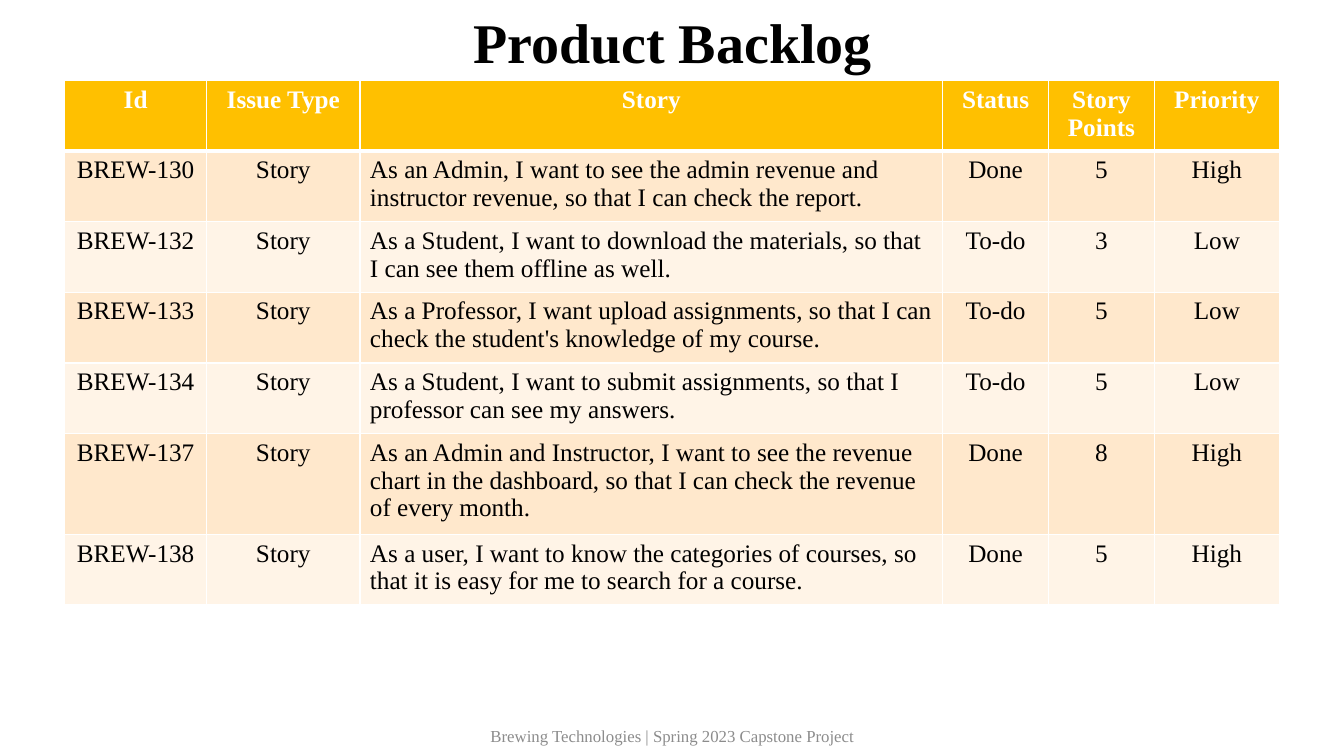
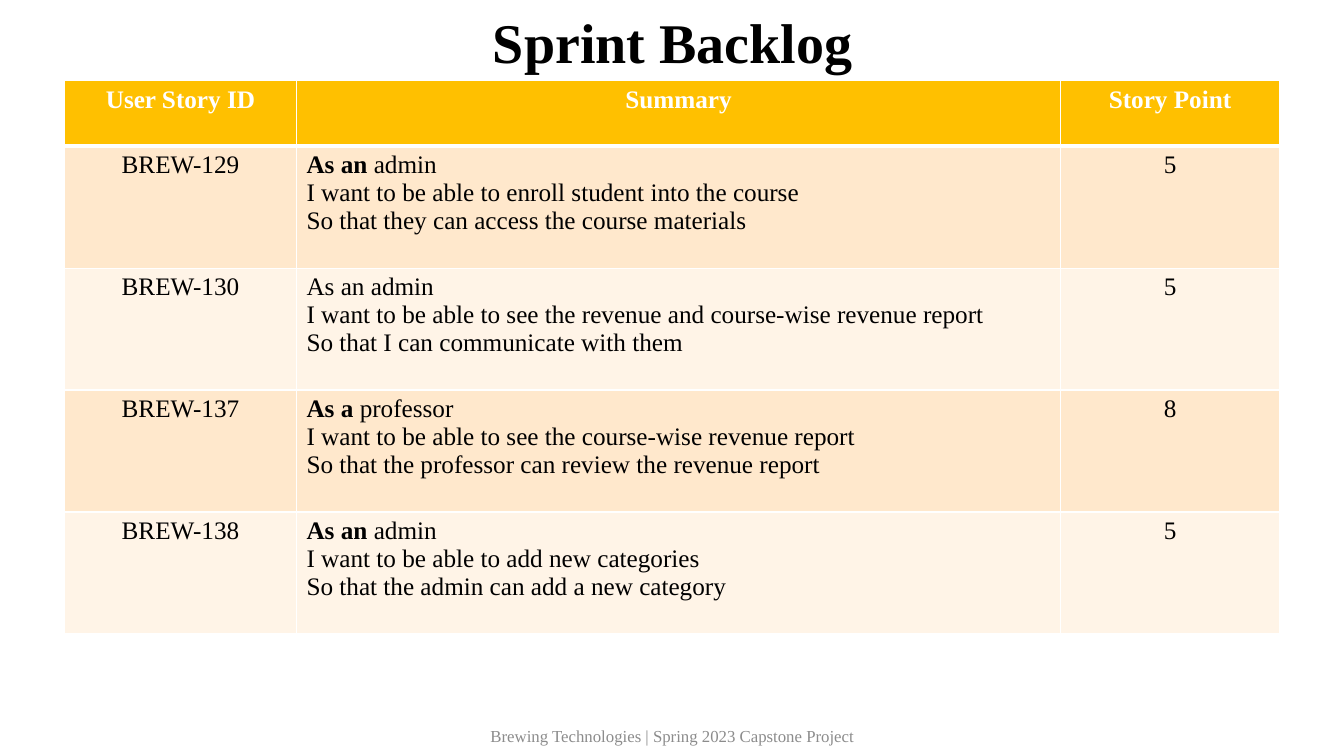
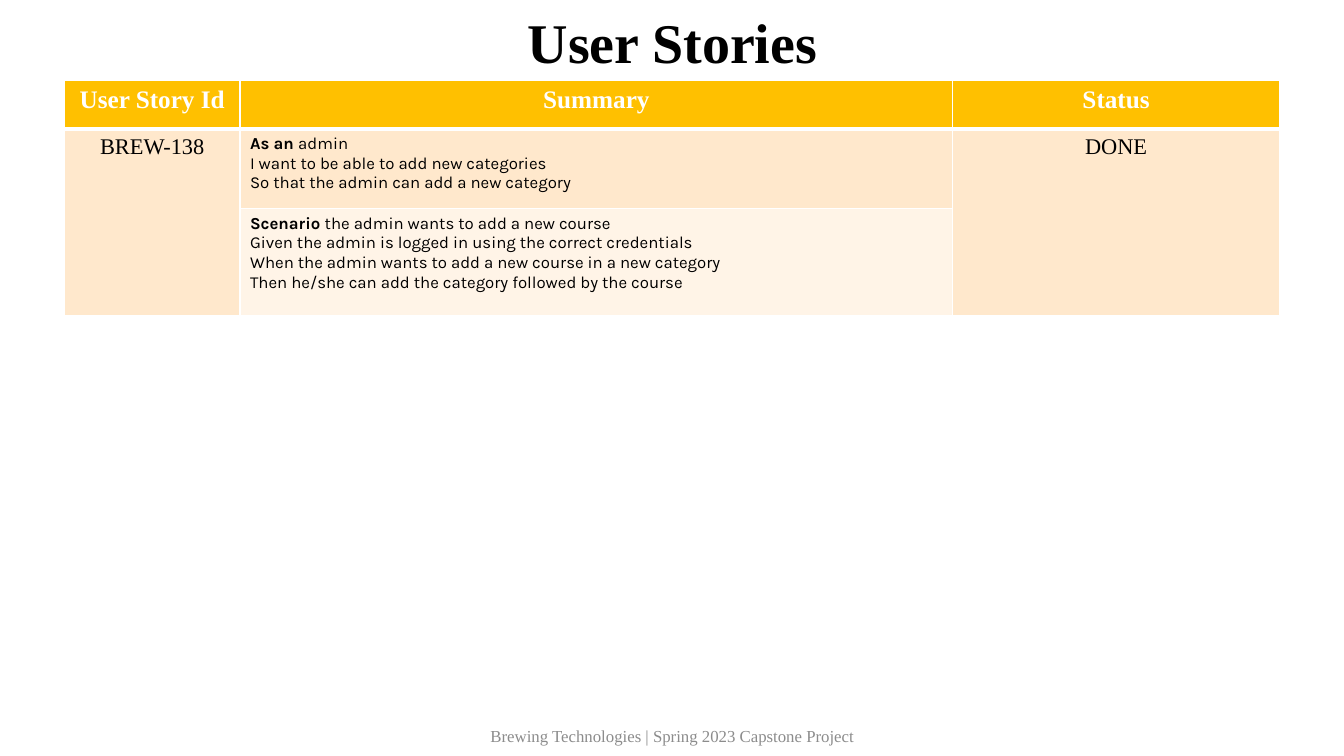
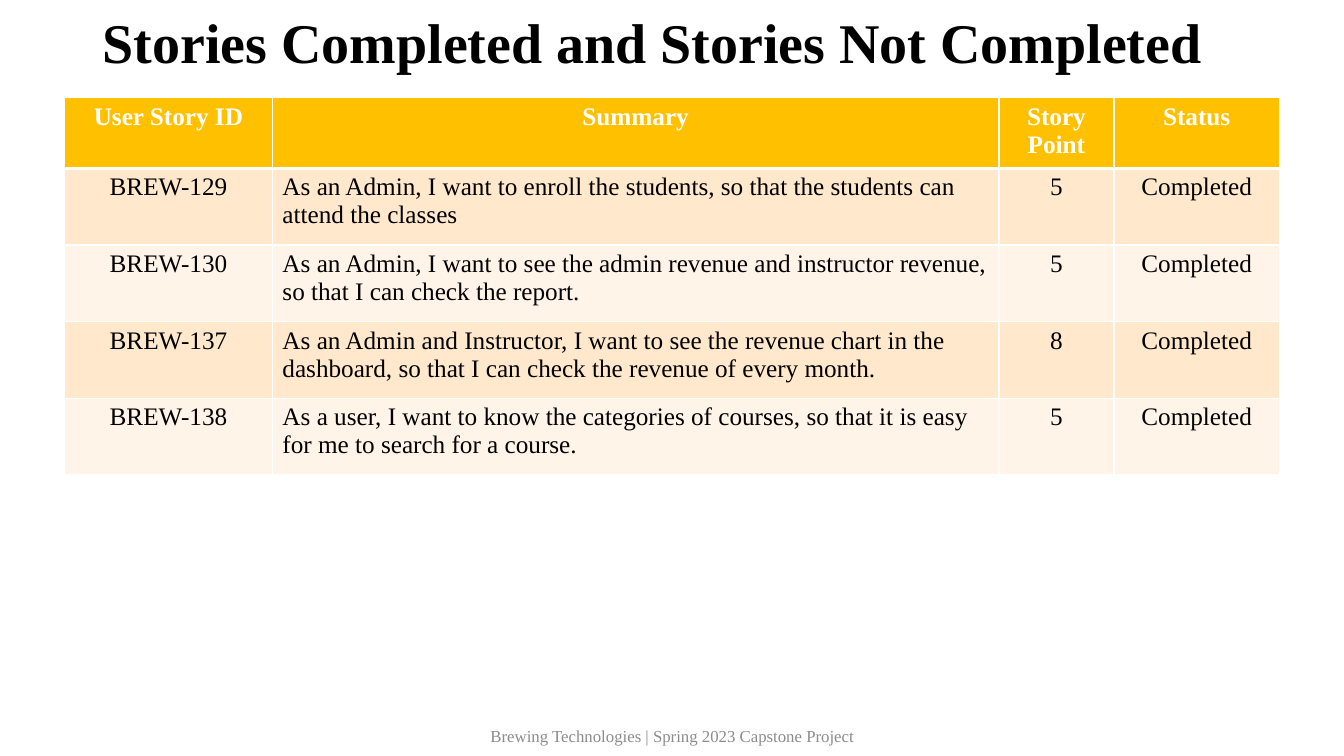
from lxml.etree import SubElement
from pptx import Presentation
from pptx.dml.color import RGBColor
from pptx.enum.text import MSO_ANCHOR, MSO_AUTO_SIZE, PP_ALIGN
from pptx.oxml.ns import qn
from pptx.util import Inches, Pt

TITLE_ONLY = 5


def paint(hex_color):
    return RGBColor.from_string(hex_color)


def write(frame, text, font="Times New Roman", size=18, color="000000", bold=False,
          align=PP_ALIGN.CENTER, anchor=MSO_ANCHOR.MIDDLE, line_spacing=None):
    frame.word_wrap = True
    frame.vertical_anchor = anchor
    for index, line in enumerate(text.split("\n")):
        paragraph = frame.add_paragraph() if index else frame.paragraphs[0]
        paragraph.alignment = align
        paragraph.line_spacing = line_spacing
        for part, words in enumerate(line.split("**")):
            if words:
                run = paragraph.add_run()
                run.text = words
                run.font.name = font
                run.font.size = Pt(size)
                run.font.bold = bold or part % 2 == 1
                run.font.color.rgb = paint(color)


class Deck:
    WIDTH, HEIGHT = 13.33, 7.5
    COLUMNS, ROWS = 133.3, 75
    TITLE_BOX = (9.2, 1, 115, 7)
    FOOTER_BOX = (44.2, 71, 45, 4)
    TABLE_LEFT, TABLE_WIDTH = 6.4, 120.5
    FOOTER = "Brewing Technologies | Spring 2023 Capstone Project"
    HEADER, BANDS = "FFC000", ("FFE8CC", "FFF4E7")
    WHITE, GRAY = "FFFFFF", "8C8C8C"

    def __init__(self):
        self.presentation = Presentation()
        self.presentation.slide_width = Inches(self.WIDTH)
        self.presentation.slide_height = Inches(self.HEIGHT)
        self.slide = None

    def across(self, columns):
        return Inches(self.WIDTH * columns / self.COLUMNS)

    def down(self, rows):
        return Inches(self.HEIGHT * rows / self.ROWS)

    def place(self, left, top, width, height):
        return self.across(left), self.down(top), self.across(width), self.down(height)

    def start(self, title, align=PP_ALIGN.CENTER):
        layout = self.presentation.slide_layouts[TITLE_ONLY]
        self.slide = self.presentation.slides.add_slide(layout)
        heading = self.slide.shapes.title
        heading.left, heading.top, heading.width, heading.height = self.place(*self.TITLE_BOX)
        heading.text_frame.auto_size = MSO_AUTO_SIZE.NONE
        write(heading.text_frame, title, size=40, bold=True, align=align, line_spacing=0.9)
        self.footer()

    def footer(self):
        footer = self.slide.shapes.add_textbox(*self.place(*self.FOOTER_BOX))
        write(footer.text_frame, self.FOOTER, size=12, color=self.GRAY)

    def style_cell(self, cell, fill, bottom=1):
        properties = cell._tc.get_or_add_tcPr()
        for side, points in (("L", 1), ("R", 1), ("T", 1), ("B", bottom)):
            border = SubElement(properties, qn(f"a:ln{side}"), w=str(Pt(points)))
            SubElement(SubElement(border, qn("a:solidFill")), qn("a:srgbClr"), val=self.WHITE)
        cell.fill.solid()
        cell.fill.fore_color.rgb = paint(fill)

    def table(self, header, stories, widths, heights, prose_column, top=8,
              size=18, prose=None):
        prose_style = {"size": size, "align": PP_ALIGN.LEFT, **(prose or {})}
        box = self.place(self.TABLE_LEFT, top, self.TABLE_WIDTH, sum(heights))
        table = self.slide.shapes.add_table(len(stories) + 1, len(header), *box).table
        table.horz_banding = False
        for column, width in zip(table.columns, widths):
            column.width = self.across(self.TABLE_WIDTH * width / sum(widths))
        for row, height in zip(table.rows, heights):
            row.height = self.down(height)
        for column, label in enumerate(header):
            cell = table.cell(0, column)
            self.style_cell(cell, self.HEADER, bottom=3)
            write(cell.text_frame, label, color=self.WHITE, bold=True)
        for row, story in enumerate(stories, 1):
            for column, text in enumerate(story):
                cell = table.cell(row, column)
                self.style_cell(cell, self.BANDS[(row - 1) % 2])
                if text is None:
                    table.cell(row - 1, column).merge(cell)
                elif column == prose_column:
                    write(cell.text_frame, text, **prose_style)
                else:
                    write(cell.text_frame, text, size=size)

    def save(self):
        self.presentation.save("out.pptx")


REVENUE = "As an Admin, I want to see the admin revenue and instructor revenue, so that I can check the report."
CHART = ("As an Admin and Instructor, I want to see the revenue chart in the dashboard, "
         "so that I can check the revenue of every month.")
CATEGORIES = "As a user, I want to know the categories of courses, so that it is easy for me to search for a course."
NEW_CATEGORY = ("**As an **admin\nI want to be able to add new categories\n"
                "So that the admin can add a new category")


def product_backlog(deck):
    deck.start("Product Backlog")
    backlog = [
        ("BREW-130", REVENUE, "Done", "5", "High"),
        ("BREW-132", "As a Student, I want to download the materials, "
                     "so that I can see them offline as well.", "To-do", "3", "Low"),
        ("BREW-133", "As a Professor, I want upload assignments, "
                     "so that I can check the student's knowledge of my course.", "To-do", "5", "Low"),
        ("BREW-134", "As a Student, I want to submit assignments, "
                     "so that I professor can see my answers.", "To-do", "5", "Low"),
        ("BREW-137", CHART, "Done", "8", "High"),
        ("BREW-138", CATEGORIES, "Done", "5", "High"),
    ]
    deck.table(("Id", "Issue Type", "Story", "Status", "Story Points", "Priority"),
               [(issue, "Story", *rest) for issue, *rest in backlog],
               widths=(14.1, 15.2, 57.8, 10.5, 10.5, 12.4),
               heights=(6.7, 7, 7, 7, 7, 10, 7), prose_column=2)


def sprint_backlog(deck):
    deck.start("Sprint Backlog")
    deck.table(("User Story ID", "Summary", "Story Point"), [
        ("BREW-129", "**As an **admin\nI want to be able to enroll student into the course\n"
                     "So that they can access the course materials", "5"),
        ("BREW-130", "As an admin\nI want to be able to see the revenue and course-wise revenue report\n"
                     "So that I can communicate with them", "5"),
        ("BREW-137", "**As a **professor\nI want to be able to see the course-wise revenue report\n"
                     "So that the professor can review the revenue report", "8"),
        ("BREW-138", NEW_CATEGORY, "5"),
    ], widths=(23, 75.8, 21.7), heights=(6.5, *[12.1] * 4), prose_column=1,
        prose={"anchor": MSO_ANCHOR.TOP})


def user_stories(deck):
    deck.start("User Stories")
    deck.table(("User Story Id", "Summary", "Status"), [
        ("BREW-138", NEW_CATEGORY, "DONE"),
        (None, "**Scenario **the admin wants to add a new course\n"
               "Given the admin is logged in using the correct credentials\n"
               "When the admin wants to add a new course in a new category\n"
               "Then he/she can add the category followed by the course", None),
    ], widths=(17.4, 70.7, 32.4), heights=(4.8, 7.9, 10.6), prose_column=1,
        size=16, prose={"font": "Karla", "size": 12})


def completed_stories(deck):
    deck.start("Stories Completed and Stories Not Completed", align=PP_ALIGN.LEFT)
    completed = [
        ("BREW-129", "As an Admin, I want to enroll the students, "
                     "so that the students can attend the classes", "5"),
        ("BREW-130", REVENUE, "5"),
        ("BREW-137", CHART, "8"),
        ("BREW-138", CATEGORIES, "5"),
    ]
    deck.table(("User Story ID", "Summary", "Story Point", "Status"),
               [(*story, "Completed") for story in completed],
               widths=(20.6, 72, 11.4, 16.4), heights=(6.5, *[7.6] * 4),
               prose_column=1, top=9.7)


def main():
    deck = Deck()
    for build in (product_backlog, sprint_backlog, user_stories, completed_stories):
        build(deck)
    deck.save()


if __name__ == "__main__":
    main()
